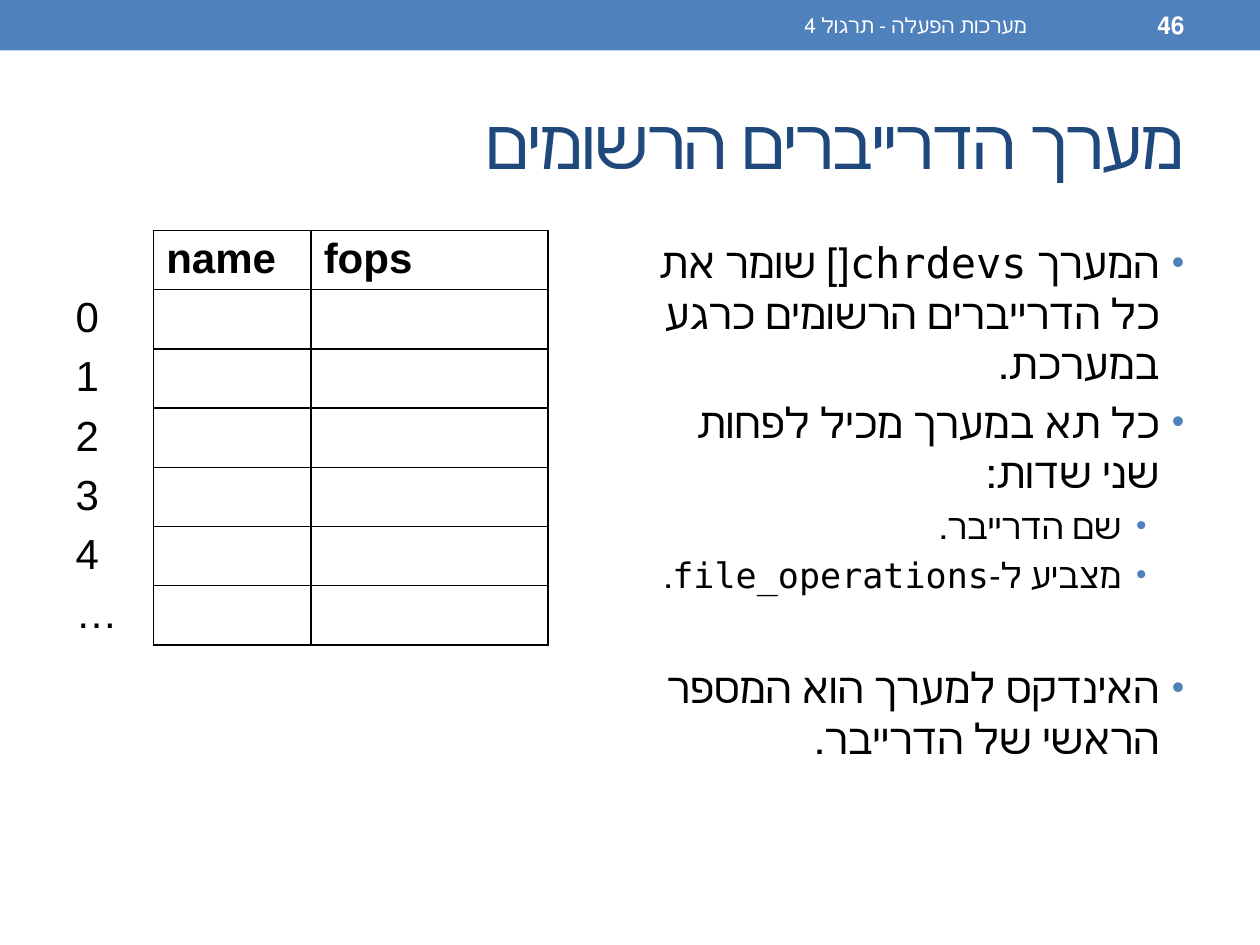
"""Build the slide about the array of registered drivers."""
from dataclasses import dataclass

from lxml.etree import SubElement
from pptx import Presentation
from pptx.dml.color import RGBColor
from pptx.enum.shapes import MSO_SHAPE
from pptx.enum.text import MSO_ANCHOR, MSO_AUTO_SIZE, PP_ALIGN
from pptx.oxml import parse_xml
from pptx.oxml.ns import nsdecls, qn
from pptx.util import Inches, Pt


@dataclass(frozen=True)
class Theme:
    accent: str = "4F81BD"
    heading: str = "1F497D"
    ink: str = "000000"
    paper: str = "FFFFFF"
    text_font: str = "DejaVu Sans Mono"
    table_font: str = "Arial"
    title_size: int = 40
    body_size: int = 24
    detail_size: int = 20
    number_size: int = 14
    footer_size: int = 12


THEME = Theme()
BULLETS = [
    (0, "המערך chrdevs[] שומר את כל הדרייברים הרשומים כרגע במערכת."),
    (0, "כל תא במערך מכיל לפחות שני שדות:"),
    (1, "שם הדרייבר."),
    (1, "מצביע ל-file_operations."),
    (0, "האינדקס למערך הוא המספר הראשי של הדרייבר."),
]
INDEXES = ["0", "1", "2", "3", "4", "…"]
COLUMN_WIDTHS = [0.72, 1.25, 1.88]
ROW_HEIGHT = 0.47


def place(shape, left, top, width, height):
    shape.left, shape.top = Inches(left), Inches(top)
    shape.width, shape.height = Inches(width), Inches(height)


def add_run(paragraph, text, size, color, font=THEME.text_font, bold=False):
    run = paragraph.add_run()
    run.text = text
    run.font.size, run.font.name, run.font.bold = Pt(size), font, bold
    run.font.color.rgb = RGBColor.from_string(color)
    return run


def set_rtl(paragraph):
    paragraph.alignment = PP_ALIGN.RIGHT
    properties = paragraph._p.get_or_add_pPr()
    properties.set("rtl", "1")
    return properties


def set_bullet(paragraph, margin):
    properties = set_rtl(paragraph)
    properties.set("marL", str(Inches(margin)))
    properties.set("indent", str(Inches(-0.2)))
    color = SubElement(properties, qn("a:buClr"))
    SubElement(color, qn("a:srgbClr"), val=THEME.accent)
    SubElement(properties, qn("a:buSzPct"), val="85000")
    SubElement(properties, qn("a:buFont"), typeface="Arial")
    SubElement(properties, qn("a:buChar"), char="•")


def add_band(slide):
    band = slide.shapes.add_shape(
        MSO_SHAPE.RECTANGLE, 0, 0, Inches(10), Inches(0.4))
    band.shadow.inherit = False
    band.fill.solid()
    band.fill.fore_color.rgb = RGBColor.from_string(THEME.accent)
    band.line.fill.background()


def add_band_text(slide, text, left, width, size, bold=False):
    box = slide.shapes.add_textbox(
        Inches(left), Inches(0.02), Inches(width), Inches(0.36))
    frame = box.text_frame
    frame.word_wrap = True
    frame.vertical_anchor = MSO_ANCHOR.MIDDLE
    set_rtl(frame.paragraphs[0])
    add_run(frame.paragraphs[0], text, size, THEME.paper, bold=bold)


def fill_title(title, text):
    place(title, 0.5, 0.58, 9, 1.08)
    frame = title.text_frame
    frame.auto_size = MSO_AUTO_SIZE.NONE
    frame.vertical_anchor = MSO_ANCHOR.MIDDLE
    set_rtl(frame.paragraphs[0])
    run = add_run(frame.paragraphs[0], text, THEME.title_size, THEME.heading)
    run._r.get_or_add_rPr().set("spc", "-100")


def fill_body(body):
    place(body, 5.08, 1.83, 4.42, 5.16)
    frame = body.text_frame
    frame.auto_size = MSO_AUTO_SIZE.NONE
    for number, (level, text) in enumerate(BULLETS):
        paragraph = frame.add_paragraph() if number else frame.paragraphs[0]
        paragraph.level = level
        set_bullet(paragraph, 0.5 if level else 0.2)
        size = THEME.detail_size if level else THEME.body_size
        add_run(paragraph, text, size, THEME.ink)
    frame.paragraphs[-1].space_before = Pt(38)


def set_borders(cell, sides):
    properties = cell._tc.get_or_add_tcPr()
    for position, side in enumerate(sides):
        properties.insert(position, parse_xml(
            f'<a:ln{side} {nsdecls("a")} w="12700"><a:solidFill>'
            f'<a:srgbClr val="{THEME.ink}"/></a:solidFill></a:ln{side}>'))


def add_driver_table(slide):
    rows = [["", "name", "fops"]] + [[index, "", ""] for index in INDEXES]
    table = slide.shapes.add_table(
        len(rows), len(COLUMN_WIDTHS), Inches(0.5), Inches(1.83),
        Inches(sum(COLUMN_WIDTHS)), Inches(ROW_HEIGHT * len(rows))).table
    table.first_row = table.horz_banding = False
    for column, width in zip(table.columns, COLUMN_WIDTHS):
        column.width = Inches(width)
    for row_number, texts in enumerate(rows):
        table.rows[row_number].height = Inches(ROW_HEIGHT)
        for column_number, text in enumerate(texts):
            cell = table.cell(row_number, column_number)
            cell.fill.background()
            cell.margin_top = cell.margin_bottom = Inches(0.04)
            set_borders(cell, "LRTB" if column_number else "R")
            if text:
                add_run(cell.text_frame.paragraphs[0], text, THEME.body_size,
                        THEME.ink, THEME.table_font, bold=row_number == 0)


def main():
    presentation = Presentation()
    presentation.slide_width, presentation.slide_height = Inches(10), Inches(7.5)
    slide = presentation.slides.add_slide(presentation.slide_layouts[1])
    add_band(slide)
    fill_title(slide.shapes.title, "מערך הדרייברים הרשומים")
    add_driver_table(slide)
    fill_body(slide.placeholders[1])
    add_band_text(slide, "מערכות הפעלה - תרגול 4", 3.75, 4.5, THEME.footer_size)
    add_band_text(slide, "46", 8.33, 1.17, THEME.number_size, bold=True)
    presentation.save("out.pptx")


if __name__ == "__main__":
    main()
